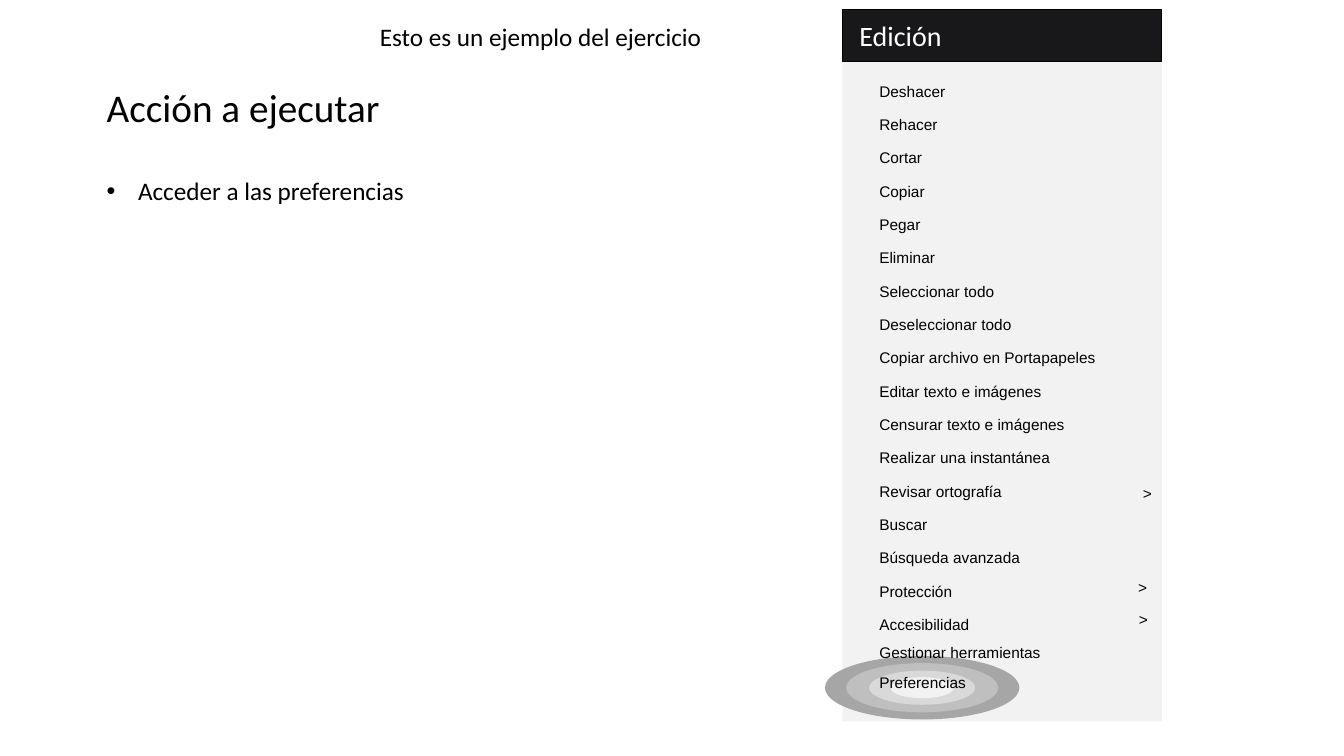
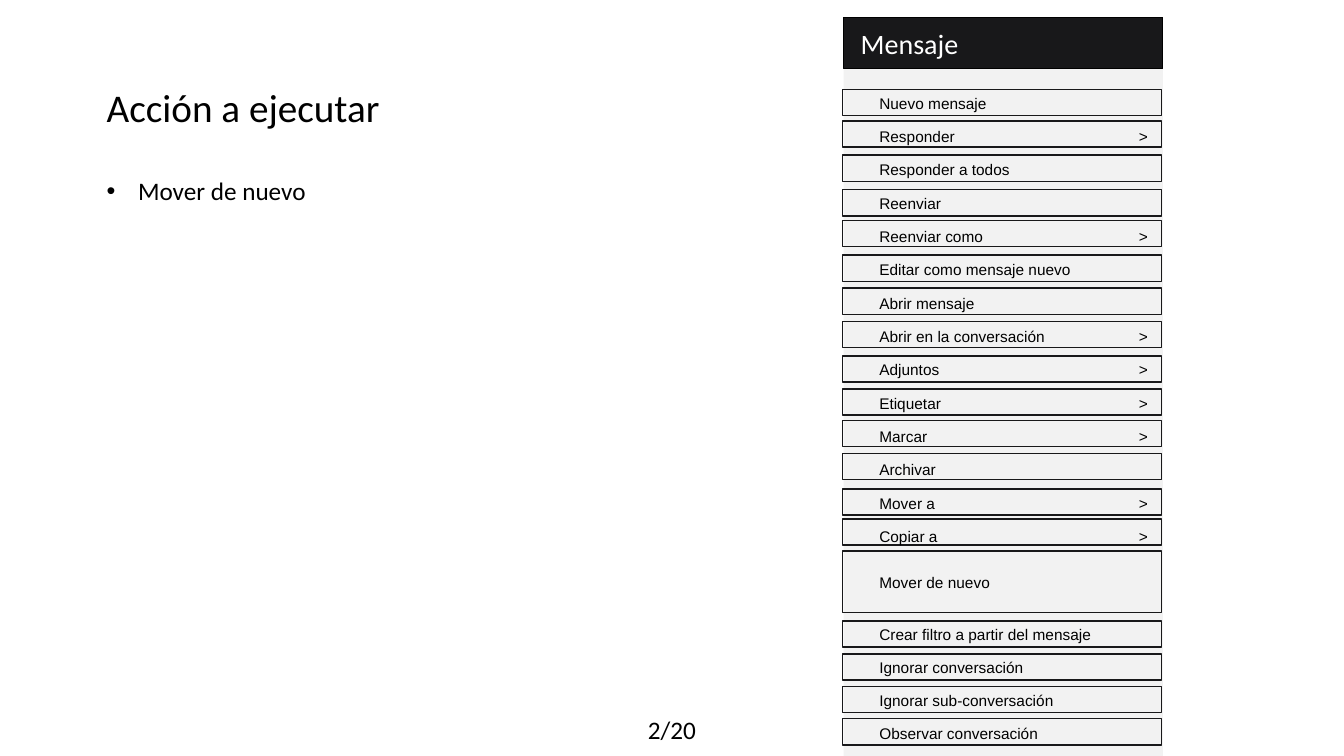
from pptx import Presentation
from pptx import util as u
from pptx.dml.color import RGBColor
from pptx.enum import shapes, text
from pptx.oxml.ns import qn
from lxml import etree

SLIDE_WIDTH, SLIDE_HEIGHT = 33.87, 19.05
BLACK, WHITE, INK, PANEL = "000000", "FFFFFF", "18181A", "F2F2F2"
HEADING_FONT, MENU_FONT = "Calibri", "Arial"
CONTENT_LEFT, CONTENT_WIDTH = 2.44, 18.62
MENU_LEFT, MENU_WIDTH, HEADER_HEIGHT = 21.23, 8.05, 1.3
LABEL_INDENT, ROW_PITCH = 0.93, 0.84
ROW_HEIGHT, TEXT_HEIGHT = 0.66, 0.48
ARROW_LEFT = 28.7

EDIT_LABELS = [
    "Deshacer", "Rehacer", "Cortar", "Copiar", "Pegar", "Eliminar",
    "Seleccionar todo", "Deseleccionar todo", "Copiar archivo en Portapapeles",
    "Editar texto e imágenes", "Censurar texto e imágenes",
    "Realizar una instantánea", "Revisar ortografía", "Buscar",
    "Búsqueda avanzada", "Protección", "Accesibilidad",
]
EDIT_LAST_LABELS = [("Gestionar herramientas", 16.21), ("Preferencias", 16.97)]
EDIT_ARROWS = [(28.8, 12.19), (28.68, 14.58), (28.7, 15.37)]
TARGET_CENTER = (23.24, 17.33)
TARGET_RINGS = [
    (4.9, 1.6, "A6A6A6"), (3.83, 1.24, "BFBFBF"),
    (2.67, 0.86, "D9D9D9"), (1.6, 0.53, PANEL),
]

MESSAGE_ROWS = [
    ("Nuevo mensaje", 2.26, False), ("Responder", 3.05, True),
    ("Responder a todos", 3.91, False), ("Reenviar", 4.78, False),
    ("Reenviar como", 5.56, True), ("Editar como mensaje nuevo", 6.43, False),
    ("Abrir mensaje", 7.26, False), ("Abrir en la conversación", 8.1, True),
    ("Adjuntos", 8.97, True), ("Etiquetar", 9.8, True),
    ("Marcar", 10.59, True), ("Archivar", 11.43, False),
    ("Mover a", 12.32, True), ("Copiar a", 13.08, True),
]
MESSAGE_LAST_ROWS = [
    ("Crear filtro a partir del mensaje", 15.65), ("Ignorar conversación", 16.48),
    ("Ignorar sub-conversación", 17.3), ("Observar conversación", 18.11),
]


def color(value):
    return RGBColor.from_string(value)


def write_text(shape, content, size=11, font=MENU_FONT, ink=BLACK, align="LEFT",
               anchor="TOP", margins=(0, 0, 0, 0), bullet_indent=None):
    frame = shape.text_frame
    frame.word_wrap = True
    frame.auto_size = text.MSO_AUTO_SIZE.NONE
    frame.vertical_anchor = text.MSO_ANCHOR[anchor]
    (frame.margin_left, frame.margin_top,
     frame.margin_right, frame.margin_bottom) = [u.Cm(margin) for margin in margins]
    paragraph = frame.paragraphs[0]
    paragraph.alignment = text.PP_ALIGN[align]
    run = paragraph.add_run()
    run.text = content
    run.font.size = u.Pt(size)
    run.font.name = font
    run.font.color.rgb = color(ink)
    if bullet_indent:
        properties = paragraph._p.get_or_add_pPr()
        properties.set("marL", str(u.Cm(bullet_indent)))
        properties.set("indent", str(-u.Cm(bullet_indent)))
        etree.SubElement(properties, qn("a:buFont")).set("typeface", "Arial")
        etree.SubElement(properties, qn("a:buChar")).set("char", "•")


def add_text(slide, content, left, top, width, height, **text_format):
    box = slide.shapes.add_textbox(u.Cm(left), u.Cm(top), u.Cm(width), u.Cm(height))
    write_text(box, content, **text_format)


def add_figure(slide, kind, left, top, width, height, fill=None, line=None, line_width=1):
    shape = slide.shapes.add_shape(
        shapes.MSO_SHAPE[kind], u.Cm(left), u.Cm(top), u.Cm(width), u.Cm(height))
    shape.shadow.inherit = False
    if fill:
        shape.fill.solid()
        shape.fill.fore_color.rgb = color(fill)
    else:
        shape.fill.background()
    if line:
        shape.line.color.rgb = color(line)
        shape.line.width = u.Pt(line_width)
    else:
        shape.line.fill.background()
    return shape


def add_banner(slide, content, top):
    add_text(slide, content, 0, top, 27.25 if top < 10 else SLIDE_WIDTH, 1.02,
             size=18, font=HEADING_FONT, align="CENTER", margins=(0.25, 0.13, 0.25, 0.13))


def add_exercise_slide(presentation, action):
    slide = presentation.slides.add_slide(presentation.slide_layouts[5])
    title = slide.shapes.title
    title.left, title.top = u.Cm(CONTENT_LEFT), u.Cm(1.98)
    title.width, title.height = u.Cm(CONTENT_WIDTH), u.Cm(1.45)
    margins = (0.25, 0.13, 0.25, 0.13)
    write_text(title, "Acción a ejecutar", size=28, font=HEADING_FONT, margins=margins)
    add_text(slide, action, CONTENT_LEFT, 4.3, CONTENT_WIDTH, 1.02, size=18,
             font=HEADING_FONT, margins=margins, bullet_indent=0.79)
    return slide


def add_menu(slide, name, left, top, panel_height):
    add_figure(slide, "RECTANGLE", left, top + HEADER_HEIGHT, MENU_WIDTH,
               panel_height, fill=PANEL)
    header = add_figure(slide, "RECTANGLE", left, top, MENU_WIDTH, HEADER_HEIGHT,
                        fill=INK, line=BLACK, line_width=0.75)
    write_text(header, name, size=20, font=HEADING_FONT, ink=WHITE,
               anchor="MIDDLE", margins=(0.43, 0, 0, 0))


def add_label(slide, label, top):
    add_text(slide, label, MENU_LEFT + LABEL_INDENT, top, 6.4, TEXT_HEIGHT)


def add_arrow(slide, left, top):
    add_text(slide, ">", left, top, 0.4, TEXT_HEIGHT)


def add_row(slide, label, label_top, box_top, box_height=ROW_HEIGHT):
    add_figure(slide, "RECTANGLE", MENU_LEFT, box_top, MENU_WIDTH, box_height, line=INK)
    add_label(slide, label, label_top)


def add_target(slide):
    center_x, center_y = TARGET_CENTER
    for width, height, fill in TARGET_RINGS:
        add_figure(slide, "OVAL", center_x - width / 2, center_y - height / 2,
                   width, height, fill=fill)


def build_edit_slide(presentation):
    slide = add_exercise_slide(presentation, "Acceder a las preferencias")
    add_banner(slide, "Esto es un ejemplo del ejercicio", 0.41)
    add_menu(slide, "Edición", MENU_LEFT, 0.25, 16.63)
    add_target(slide)
    for index, label in enumerate(EDIT_LABELS):
        add_label(slide, label, 2.06 + index * ROW_PITCH)
    for label, top in EDIT_LAST_LABELS:
        add_label(slide, label, top)
    for left, top in EDIT_ARROWS:
        add_arrow(slide, left, top)


def build_message_slide(presentation):
    slide = add_exercise_slide(presentation, "Mover de nuevo")
    add_menu(slide, "Mensaje", MENU_LEFT + 0.03, 0.43, 17.32)
    for index, (label, box_top, has_submenu) in enumerate(MESSAGE_ROWS):
        label_top = 2.36 + index * ROW_PITCH
        add_row(slide, label, label_top, box_top)
        if has_submenu:
            add_arrow(slide, ARROW_LEFT, label_top)
    add_row(slide, "Mover de nuevo", 14.45, 13.89, box_height=1.55)
    for index, (label, box_top) in enumerate(MESSAGE_LAST_ROWS):
        add_row(slide, label, 15.75 + index * 0.83, box_top)
    add_banner(slide, "2/20", 17.86)


def main():
    presentation = Presentation()
    presentation.slide_width = u.Cm(SLIDE_WIDTH)
    presentation.slide_height = u.Cm(SLIDE_HEIGHT)
    build_edit_slide(presentation)
    build_message_slide(presentation)
    presentation.save("out.pptx")


main()
